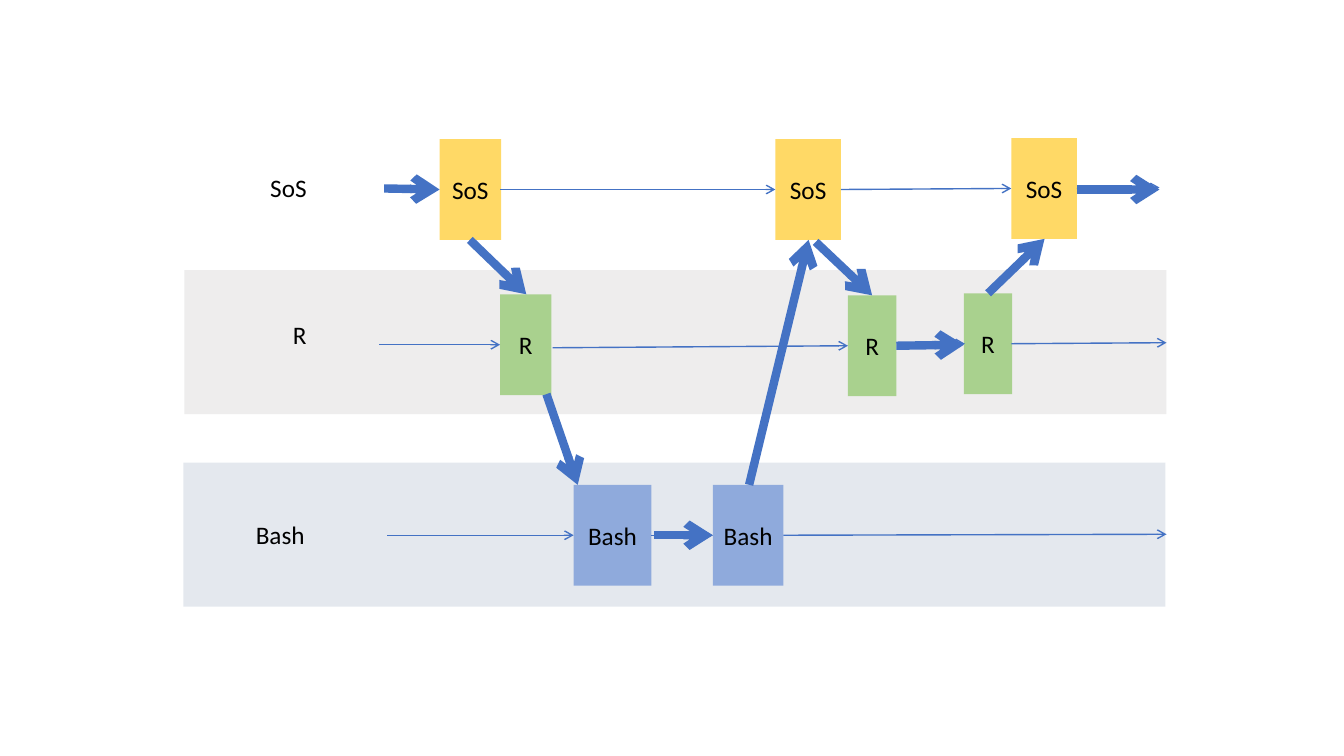
from typing import NamedTuple

from lxml import etree
from pptx import Presentation
from pptx.dml.color import RGBColor
from pptx.enum.shapes import MSO_CONNECTOR, MSO_SHAPE
from pptx.enum.text import MSO_ANCHOR, PP_ALIGN
from pptx.oxml.ns import qn
from pptx.util import Inches, Pt

RECTANGLE = MSO_SHAPE.RECTANGLE
STRAIGHT = MSO_CONNECTOR.STRAIGHT
MIDDLE = MSO_ANCHOR.MIDDLE
CENTER, RIGHT = PP_ALIGN.CENTER, PP_ALIGN.RIGHT

FONT = "Calibri"
TEXT_SIZE = 18
BLACK = "000000"
ARROW_BLUE = "4472C4"
BAND_OPACITY = 21
BAND_WIDTH, BAND_HEIGHT = 9.74, 1.43
STEP_HEIGHT = 1.0
LABEL_WIDTH, LABEL_HEIGHT = 1.31, 0.4
THIN, THICK = 1, 6


class Band(NamedTuple):
    """Shaded background of one language lane."""
    left: float
    top: float
    color: str


class Label(NamedTuple):
    """Lane name, aligned to its right edge."""
    text: str
    right: float
    top: float


class Step(NamedTuple):
    """One workflow step in a language."""
    language: str
    left: float
    top: float
    width: float


class Arrow(NamedTuple):
    """Straight arrow between two points."""
    x1: float
    y1: float
    x2: float
    y2: float


STEP_COLORS = {"SoS": "FFD966", "R": "A9D18E", "Bash": "8FAADC"}
BANDS = [Band(1.82, 4.59, "8497B0"), Band(1.83, 2.68, "AFABAB")]
LABELS = [Label("SoS", 3.14, 1.66), Label("R", 3.14, 3.12), Label("Bash", 3.12, 5.1)]
STEPS = [
    Step("SoS", 4.36, 1.38, 0.61),
    Step("SoS", 7.69, 1.38, 0.65),
    Step("SoS", 10.03, 1.37, 0.65),
    Step("R", 4.96, 2.92, 0.51),
    Step("R", 8.41, 2.93, 0.48),
    Step("R", 9.56, 2.91, 0.48),
    Step("Bash", 5.69, 4.81, 0.77),
    Step("Bash", 7.07, 4.81, 0.7),
]
SESSION_ARROWS = [
    Arrow(4.96, 1.88, 7.69, 1.88),
    Arrow(8.34, 1.88, 10.03, 1.87),
    Arrow(10.68, 1.87, 11.5, 1.86),
    Arrow(3.76, 3.42, 4.96, 3.42),
    Arrow(5.48, 3.45, 8.41, 3.43),
    Arrow(8.89, 3.4, 9.57, 3.41),
    Arrow(10.03, 3.41, 11.57, 3.4),
    Arrow(3.84, 5.31, 5.69, 5.31),
    Arrow(6.46, 5.31, 7.07, 5.31),
    Arrow(7.77, 5.31, 11.57, 5.3),
]
WORKFLOW_ARROWS = [
    Arrow(3.81, 1.87, 4.36, 1.88),
    Arrow(4.66, 2.38, 5.22, 2.92),
    Arrow(5.42, 3.91, 5.73, 4.81),
    Arrow(6.49, 5.31, 7.07, 5.31),
    Arrow(7.43, 4.81, 8.02, 2.38),
    Arrow(8.09, 2.4, 8.65, 2.93),
    Arrow(8.89, 3.43, 9.56, 3.42),
    Arrow(9.8, 2.91, 10.36, 2.37),
    Arrow(10.68, 1.88, 11.5, 1.88),
]


def rgb(color: str) -> RGBColor:
    """Turn a hex string into a colour."""
    return RGBColor.from_string(color)


def write(frame, text: str, alignment) -> None:
    """Put one formatted line into a text frame."""
    frame.word_wrap = True
    paragraph = frame.paragraphs[0]
    paragraph.text = text
    paragraph.alignment = alignment
    paragraph.font.name = FONT
    paragraph.font.size = Pt(TEXT_SIZE)
    paragraph.font.color.rgb = rgb(BLACK)


def add_rectangle(slide, left: float, top: float, width: float, height: float, color: str):
    """Add a flat rectangle without outline."""
    rectangle = slide.shapes.add_shape(
        RECTANGLE, Inches(left), Inches(top), Inches(width), Inches(height))
    rectangle.shadow.inherit = False
    rectangle.fill.solid()
    rectangle.fill.fore_color.rgb = rgb(color)
    rectangle.line.fill.background()
    return rectangle


def add_band(slide, band: Band) -> None:
    """Add a translucent lane background."""
    area = add_rectangle(slide, band.left, band.top, BAND_WIDTH, BAND_HEIGHT, band.color)
    fill_color = area._element.spPr.find(qn("a:solidFill")).find(qn("a:srgbClr"))
    etree.SubElement(fill_color, qn("a:alpha"), val=str(BAND_OPACITY * 1000))


def add_label(slide, label: Label) -> None:
    """Add the name of a lane."""
    box = slide.shapes.add_textbox(
        Inches(label.right - LABEL_WIDTH), Inches(label.top),
        Inches(LABEL_WIDTH), Inches(LABEL_HEIGHT))
    write(box.text_frame, label.text, RIGHT)


def add_step(slide, step: Step) -> None:
    """Add a workflow step in the colour of its language."""
    box = add_rectangle(slide, step.left, step.top, step.width, STEP_HEIGHT,
                        STEP_COLORS[step.language])
    frame = box.text_frame
    frame.margin_left = frame.margin_right = 0
    frame.vertical_anchor = MIDDLE
    write(frame, step.language, CENTER)


def add_arrow(slide, arrow: Arrow, weight: float) -> None:
    """Add an arrow with an open head at its end."""
    connector = slide.shapes.add_connector(STRAIGHT, *(Inches(value) for value in arrow))
    connector.line.color.rgb = rgb(ARROW_BLUE)
    connector.line.width = Pt(weight)
    properties = connector._element.spPr
    etree.SubElement(properties.find(qn("a:ln")), qn("a:tailEnd"), type="arrow")
    etree.SubElement(properties, qn("a:effectLst"))


def main() -> None:
    """Build and save the slide."""
    presentation = Presentation()
    presentation.slide_width = Inches(13.33)
    presentation.slide_height = Inches(7.5)
    slide = presentation.slides.add_slide(presentation.slide_layouts[6])
    for band in BANDS:
        add_band(slide, band)
    for label in LABELS:
        add_label(slide, label)
    for step in STEPS:
        add_step(slide, step)
    for arrows, weight in ((SESSION_ARROWS, THIN), (WORKFLOW_ARROWS, THICK)):
        for arrow in arrows:
            add_arrow(slide, arrow, weight)
    presentation.save("out.pptx")


main()
